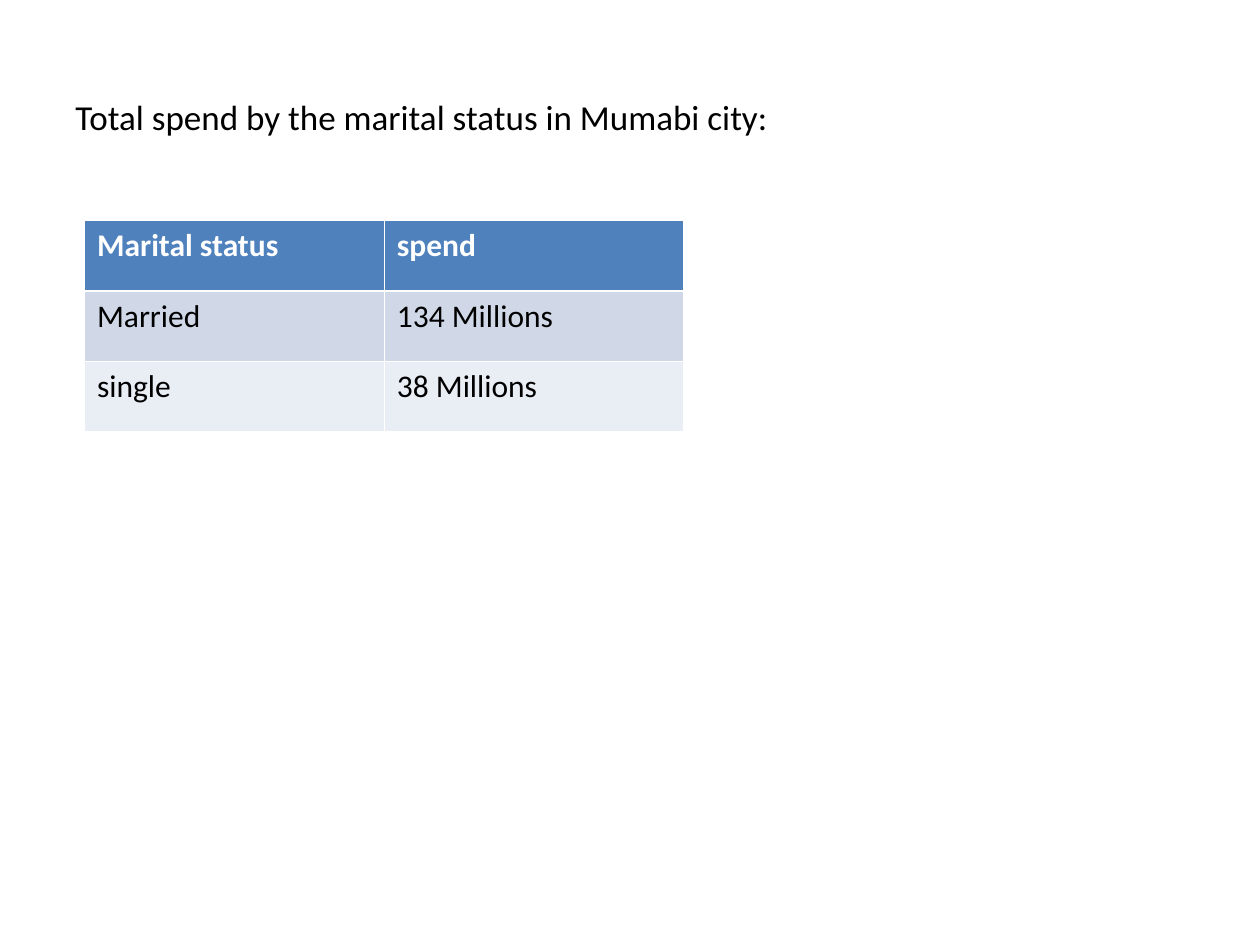
"""Build a slide with a table of total spend by marital status."""
import pptx
import pptx.dml.color
import pptx.enum.text
import pptx.util

RGBColor = pptx.dml.color.RGBColor
Inches = pptx.util.Inches

TITLE = "Total spend by the marital status in Mumabi city:"
ROWS = [
    ("Marital status", "spend"),
    ("Married", "134 Millions"),
    ("single", "38 Millions"),
]

BLACK = RGBColor(0x00, 0x00, 0x00)
WHITE = RGBColor(0xFF, 0xFF, 0xFF)
HEADER_BLUE = RGBColor(0x4F, 0x81, 0xBD)
BANDS = [RGBColor(0xE9, 0xED, 0xF4), RGBColor(0xD0, 0xD8, 0xE8)]

SLIDE_W, SLIDE_H = 10, 7.5
TITLE_BOX = (0.05 * SLIDE_W, 0.04 * SLIDE_H, 6.08, 1.25)
TABLE_LEFT, TABLE_TOP = 0.67, 1.75
COL_W, ROW_H = 2.38, 0.56


def write(tf, text, size=18, color=BLACK, bold=False):
    r = tf.paragraphs[0].add_run()
    r.text = text
    r.font.name = "Calibri"
    r.font.size = pptx.util.Pt(size)
    r.font.color.rgb = color
    r.font.bold = bold


def add_title(s):
    tf = s.shapes.add_textbox(*map(Inches, TITLE_BOX)).text_frame
    tf.word_wrap = True
    tf.vertical_anchor = pptx.enum.text.MSO_ANCHOR.MIDDLE
    write(tf, TITLE, size=20)


def add_spend_table(s):
    n_rows, n_cols = len(ROWS), len(ROWS[0])
    box = (TABLE_LEFT, TABLE_TOP, n_cols * COL_W, n_rows * ROW_H)
    table = s.shapes.add_table(n_rows, n_cols, *map(Inches, box)).table
    for i, row in enumerate(ROWS):
        header = i == 0
        for j, text in enumerate(row):
            cell = table.cell(i, j)
            cell.fill.solid()
            cell.fill.fore_color.rgb = HEADER_BLUE if header else BANDS[i % 2]
            write(cell.text_frame, text, color=WHITE if header else BLACK, bold=header)


def main():
    prs = pptx.Presentation()
    prs.slide_width, prs.slide_height = Inches(SLIDE_W), Inches(SLIDE_H)
    s = prs.slides.add_slide(prs.slide_layouts[6])
    add_title(s)
    add_spend_table(s)
    prs.save("out.pptx")


if __name__ == "__main__":
    main()
